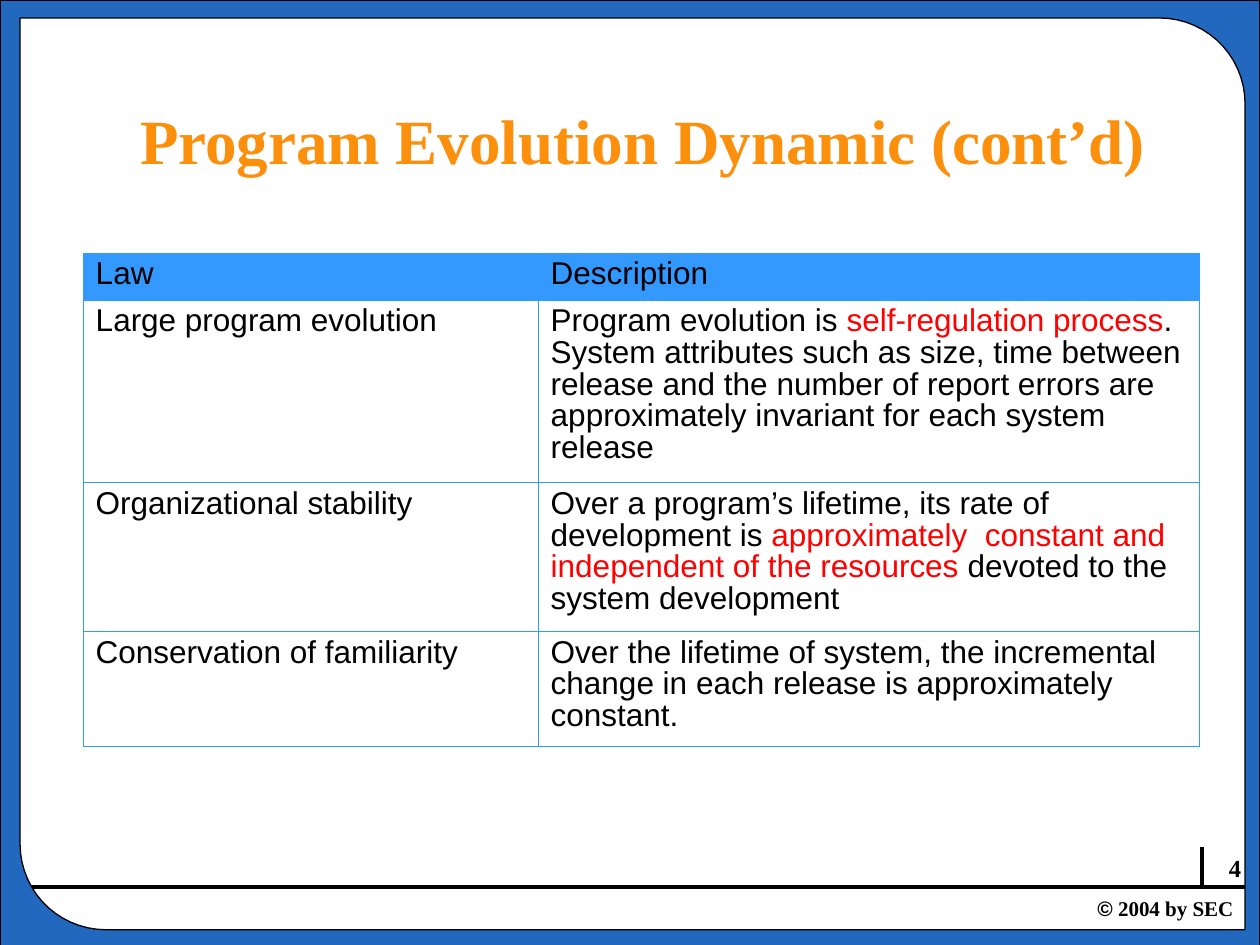
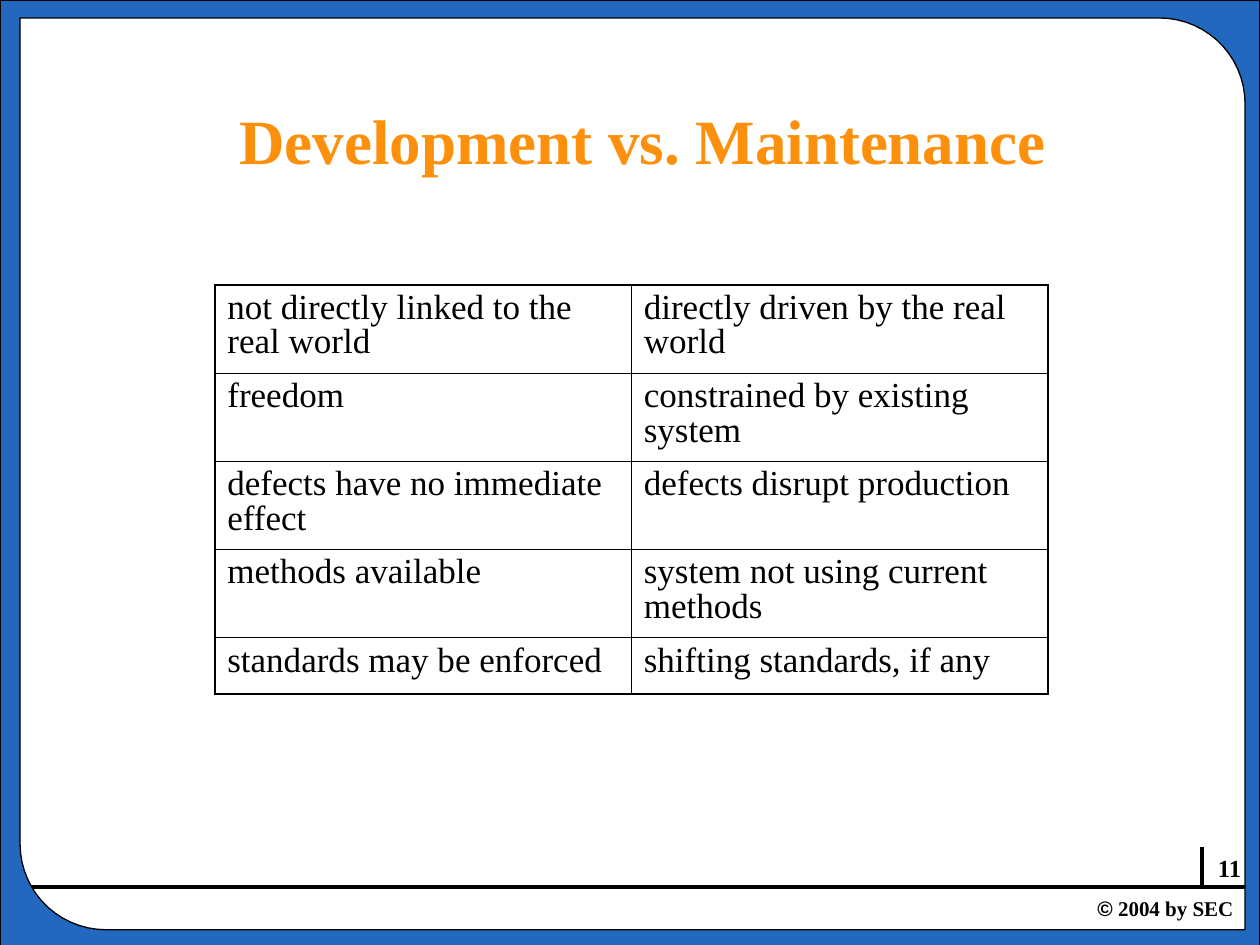
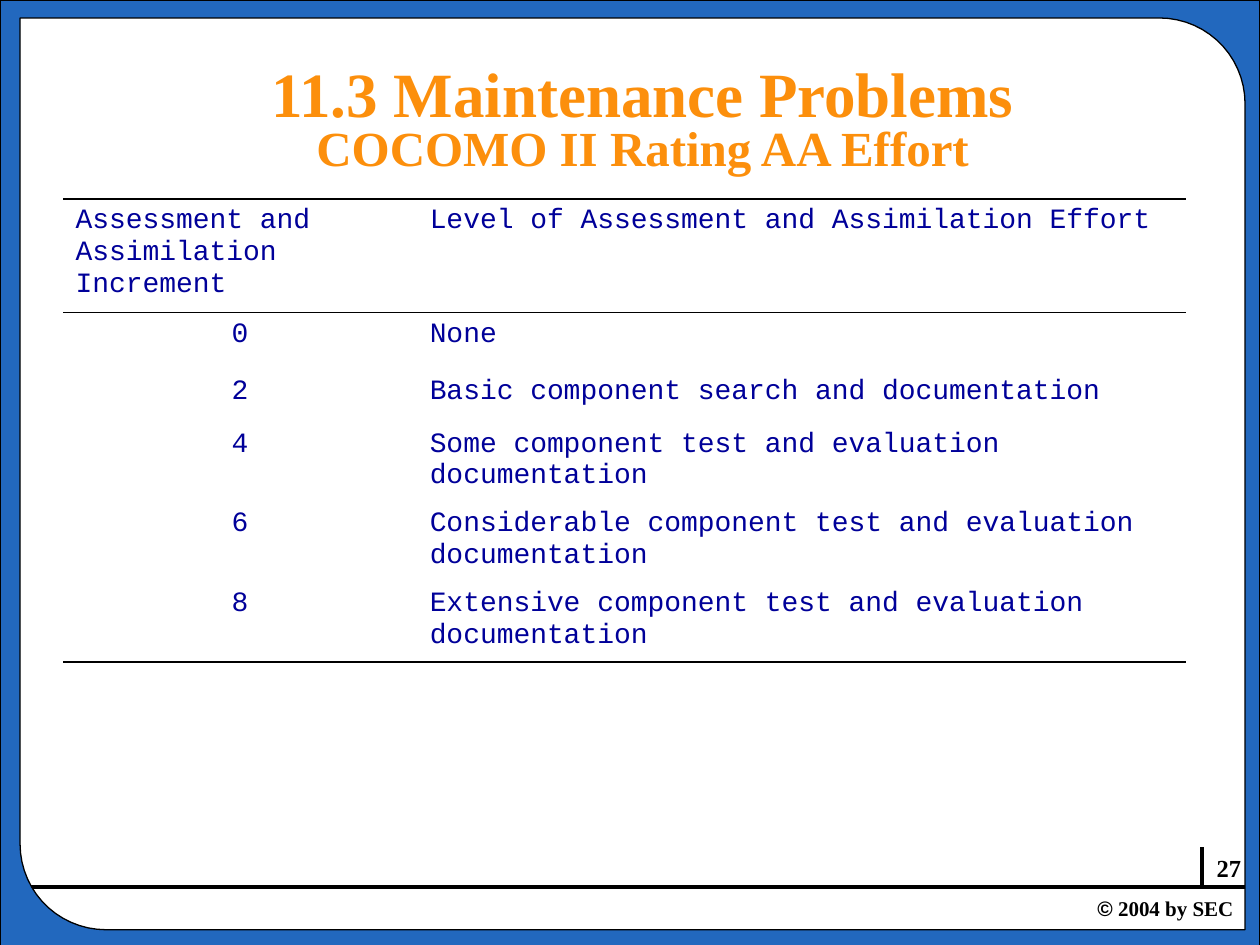
import math

from lxml import etree
from pptx import Presentation
from pptx.dml.color import RGBColor
from pptx.enum.shapes import MSO_CONNECTOR, MSO_SHAPE
from pptx.enum.text import MSO_ANCHOR, MSO_AUTO_SIZE, PP_ALIGN
from pptx.oxml.ns import qn
from pptx.util import Pt

STRAIGHT = MSO_CONNECTOR.STRAIGHT
RECTANGLE = MSO_SHAPE.RECTANGLE
BOTTOM = MSO_ANCHOR.BOTTOM
FIT_SHAPE = MSO_AUTO_SIZE.SHAPE_TO_FIT_TEXT
LEFT, CENTER, RIGHT = PP_ALIGN.LEFT, PP_ALIGN.CENTER, PP_ALIGN.RIGHT

BLACK = RGBColor(0x00, 0x00, 0x00)
FRAME_BLUE = RGBColor(0x22, 0x68, 0xBE)
TITLE_ORANGE = RGBColor(0xFC, 0x8F, 0x0C)
TABLE_BLUE = RGBColor(0x33, 0x99, 0xFF)
NAVY = RGBColor(0x00, 0x00, 0x99)
RED = RGBColor(0xFF, 0x00, 0x00)

WIDTH, HEIGHT = 720, 540
TITLE_ONLY = 5
THIN, THICK = 0.45, 1.08

SERIF_BOLD = {"name": "Times New Roman", "bold": True}
TITLE_FONT = SERIF_BOLD | {"size": Pt(36)}
SUBTITLE_FONT = SERIF_BOLD | {"size": Pt(28)}
NUMBER_FONT = SERIF_BOLD | {"size": Pt(14)}
COPYRIGHT_FONT = SERIF_BOLD | {"size": Pt(12)}

# Text between bars is red. "horizontal" and "vertical" give the width of each
# grid line from top to bottom and from left to right; 0 means no line.
SLIDES = [
    {
        "number": "4",
        "title": [("Program Evolution Dynamic (cont’d)", TITLE_FONT)],
        "place": (47.5, 144.7),
        "columns": [260, 378],
        "rows": [26.6, 104.4, 85, 65.5],
        "horizontal": [THIN] * 5,
        "vertical": [THIN] * 3,
        "line_color": TABLE_BLUE,
        "header_fill": TABLE_BLUE,
        "font": {"name": "Arial", "size": Pt(18)},
        "color": BLACK,
        "line_spacing": 0.9,
        "first_column": LEFT,
        "cells": [
            ("Law", "Description"),
            ("Large program evolution",
             "Program evolution is |self-regulation process|. System attributes such as "
             "size, time between release and the number of report errors are "
             "approximately invariant for each system release"),
            ("Organizational stability",
             "Over a program’s lifetime, its rate of development is |approximately  "
             "constant and independent of the resources |devoted to the system "
             "development"),
            ("Conservation of familiarity",
             "Over the lifetime of system, the incremental change in each release is "
             "approximately constant."),
        ],
    },
    {
        "number": "11",
        "title": [("Development vs. Maintenance", TITLE_FONT)],
        "place": (122.7, 162.7),
        "columns": [238, 238],
        "rows": [50.4] * 4 + [32],
        "horizontal": [THICK] + [THIN] * 4 + [THICK],
        "vertical": [THICK, THIN, THICK],
        "line_color": BLACK,
        "header_fill": None,
        "font": {"name": "Times New Roman", "size": Pt(20)},
        "color": BLACK,
        "line_spacing": 0.9,
        "first_column": LEFT,
        "cells": [
            ("not directly linked to the real world", "directly driven by the real world"),
            ("freedom", "constrained by existing system"),
            ("defects have no immediate effect", "defects disrupt production"),
            ("methods available", "system not using current methods"),
            ("standards may be enforced", "shifting standards, if any"),
        ],
    },
    {
        "number": "27",
        "title": [("11.3 Maintenance Problems", TITLE_FONT),
                  ("COCOMO II Rating AA Effort", SUBTITLE_FONT)],
        "place": (36, 113.8),
        "columns": [202.4, 439.6],
        "rows": [51.1, 32.8, 30, 30, 45.6, 45.6],
        "horizontal": [THICK, THICK, 0, 0, 0, 0, THICK],
        "vertical": [0, 0, 0],
        "line_color": BLACK,
        "header_fill": None,
        "font": {"name": "Courier New", "size": Pt(16)},
        "color": NAVY,
        "line_spacing": 1.0,
        "first_column": CENTER,
        "cells": [
            ("Assessment and Assimilation Increment",
             "Level of Assessment and Assimilation Effort"),
            ("0", "None"),
            ("2", "Basic component search and documentation"),
            ("4", "Some component test and evaluation documentation"),
            ("6", "Considerable component test and evaluation documentation"),
            ("8", "Extensive component test and evaluation documentation"),
        ],
    },
]


def add_run(paragraph, text, color, font_format):
    run = paragraph.add_run()
    run.text = text
    run.font.color.rgb = color
    for name, value in font_format.items():
        setattr(run.font, name, value)


def add_border(cell, side, width, color):
    """Draw one cell edge; sides must come in the order L, R, T, B."""
    properties = cell._tc.get_or_add_tcPr()
    line = etree.SubElement(properties, qn(f"a:ln{side}"), w=str(Pt(width)))
    if width:
        fill = etree.SubElement(line, qn("a:solidFill"))
        etree.SubElement(fill, qn("a:srgbClr"), val=str(color))
    else:
        etree.SubElement(line, qn("a:noFill"))


presentation = Presentation()
presentation.slide_width, presentation.slide_height = Pt(WIDTH), Pt(HEIGHT)
layout = presentation.slide_layouts[TITLE_ONLY]
slides = [presentation.slides.add_slide(layout) for _ in SLIDES]

# Shared frame: drawn on a slide, then moved to the layout
shapes = slides[0].shapes
page = shapes.add_shape(RECTANGLE, 0, 0, Pt(WIDTH), Pt(HEIGHT))
page.shadow.inherit = False
page.fill.background()
page.line.color.rgb = BLACK
page.line.width = Pt(0)

rules = []
for x1, y1, x2, y2 in [(0, 507, WIDTH, 507), (687, 507, 687, 484)]:
    rule = shapes.add_connector(STRAIGHT, Pt(x1), Pt(y1), Pt(x2), Pt(y2))
    rule.line.color.rgb = BLACK
    rule.line.width = Pt(2.25)
    etree.SubElement(rule.element.spPr, qn("a:effectLst"))
    rules.append(rule)

inner_left, inner_top, inner_right, inner_bottom, radius = 11.5, 10.3, 711.5, 531.3, 49
opening = [(inner_left, inner_top)]
for center_x, center_y, start in [
    (inner_right - radius, inner_top + radius, -90),
    (inner_left + radius, inner_bottom - radius, 90),
]:
    for angle in range(start, start + 91, 6):
        opening.append((center_x + radius * math.cos(math.radians(angle)),
                        center_y + radius * math.sin(math.radians(angle))))
    if start < 0:
        opening.append((inner_right, inner_bottom))
page_corners = [(0, 0), (WIDTH, 0), (WIDTH, HEIGHT + 0.5), (0, HEIGHT + 0.5)]

builder = shapes.build_freeform(0, 0)
for outline in (page_corners, opening):
    points = [(Pt(x), Pt(y)) for x, y in outline]
    builder.move_to(*points[0])
    builder.add_line_segments(points[1:], close=True)
frame = builder.convert_to_shape()
frame.shadow.inherit = False
frame.fill.solid()
frame.fill.fore_color.rgb = FRAME_BLUE
frame.line.color.rgb = BLACK
frame.line.width = Pt(0.75)

copyright_box = shapes.add_textbox(Pt(620), Pt(508.3), Pt(100), Pt(21.6))
copyright_box.text_frame.word_wrap = True
copyright_box.text_frame.auto_size = FIT_SHAPE
paragraph = copyright_box.text_frame.paragraphs[0]
add_run(paragraph, "©", BLACK, COPYRIGHT_FONT | {"name": "Arial"})
add_run(paragraph, " 2004 by SEC", BLACK, COPYRIGHT_FONT)

for shape in [page, *rules, frame, copyright_box]:
    layout.shapes.element.append(shape.element)

for slide, content in zip(slides, SLIDES):
    title = slide.shapes.title
    title.left, title.top, title.width, title.height = Pt(49.7), Pt(47.5), Pt(635), Pt(56.9)
    title.text_frame.vertical_anchor = BOTTOM
    title.text_frame.auto_size = MSO_AUTO_SIZE.NONE
    paragraph = title.text_frame.paragraphs[0]
    paragraph.alignment = CENTER
    paragraph.line_spacing = 0.8
    for index, (text, font_format) in enumerate(content["title"]):
        if index:
            paragraph.add_line_break()
        add_run(paragraph, text, TITLE_ORANGE, font_format)

    number_box = slide.shapes.add_textbox(Pt(652.3), Pt(483.8), Pt(64), Pt(24.5))
    number_box.text_frame.word_wrap = True
    number_box.text_frame.auto_size = FIT_SHAPE
    paragraph = number_box.text_frame.paragraphs[0]
    paragraph.alignment = RIGHT
    add_run(paragraph, content["number"], BLACK, NUMBER_FONT)

    columns, rows = content["columns"], content["rows"]
    left, top = content["place"]
    table = slide.shapes.add_table(
        len(rows), len(columns), Pt(left), Pt(top), Pt(sum(columns)), Pt(sum(rows))
    ).table
    table.first_row = table.horz_banding = False
    for column, width in zip(table.columns, columns):
        column.width = Pt(width)
    for row, height in zip(table.rows, rows):
        row.height = Pt(height)

    horizontal, vertical = content["horizontal"], content["vertical"]
    for r, row_texts in enumerate(content["cells"]):
        for c, text in enumerate(row_texts):
            cell = table.cell(r, c)
            edges = {"L": vertical[c], "R": vertical[c + 1],
                     "T": horizontal[r], "B": horizontal[r + 1]}
            for side, width in edges.items():
                add_border(cell, side, width, content["line_color"])
            if r == 0 and content["header_fill"]:
                cell.fill.solid()
                cell.fill.fore_color.rgb = content["header_fill"]
            else:
                cell.fill.background()
            paragraph = cell.text_frame.paragraphs[0]
            paragraph.line_spacing = content["line_spacing"]
            paragraph.alignment = content["first_column"] if r and c == 0 else LEFT
            for index, part in enumerate(text.split("|")):
                add_run(paragraph, part, RED if index % 2 else content["color"],
                        content["font"])

presentation.save("out.pptx")
